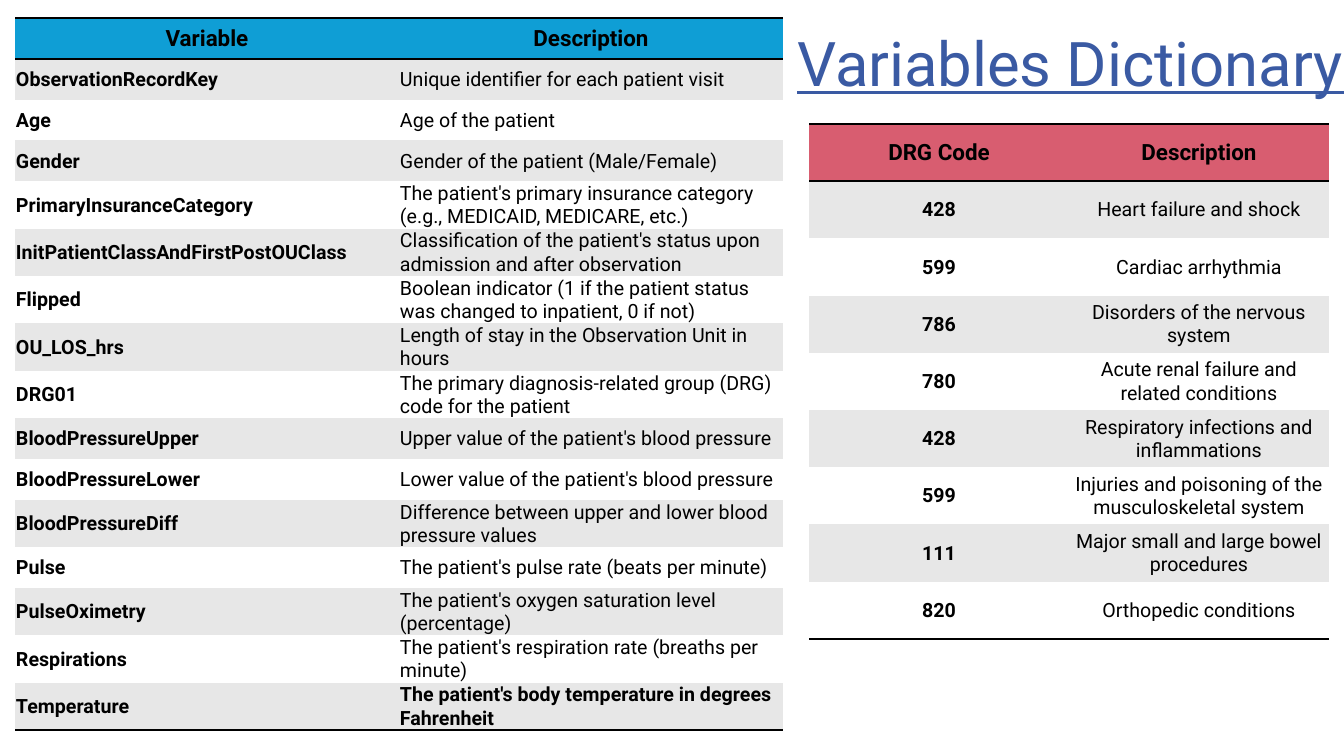
"""Build the Variables Dictionary slide with its variable and DRG code tables."""
import pptx
import pptx.dml.color
import pptx.enum.text
import pptx.oxml
import pptx.oxml.ns
import pptx.util

EMU_PER_INCH, PX_PER_INCH = 914400, 100.8
COLOURS = {
    "blue": "0F9ED5",
    "rose": "D85D70",
    "band": "E7E7E7",
    "white": "FFFFFF",
    "black": "000000",
    "title": "3A5AA3",
}
PLAIN_TABLE_STYLE = "{2D5ABB26-0587-4C30-8999-92F81FD0307C}"
MIDDLE = pptx.enum.text.MSO_ANCHOR.MIDDLE
CENTER = pptx.enum.text.PP_ALIGN.CENTER
LEFT = pptx.enum.text.PP_ALIGN.LEFT


def px(length):
    return pptx.util.Emu(round(length * EMU_PER_INCH / PX_PER_INCH))


def assign(target, values):
    for name, value in values.items():
        setattr(target, name, value)


VARIABLES = [
    ("Variable", "Description"),
    ("ObservationRecordKey", "Unique identifier for each patient visit"),
    ("Age", "Age of the patient"),
    ("Gender", "Gender of the patient (Male/Female)"),
    ("PrimaryInsuranceCategory",
     "The patient's primary insurance category (e.g., MEDICAID, MEDICARE, etc.)"),
    ("InitPatientClassAndFirstPostOUClass",
     "Classification of the patient's status upon admission and after observation"),
    ("Flipped",
     "Boolean indicator (1 if the patient status was changed to inpatient, 0 if not)"),
    ("OU_LOS_hrs", "Length of stay in the Observation Unit in hours"),
    ("DRG01", "The primary diagnosis-related group (DRG) code for the patient"),
    ("BloodPressureUpper", "Upper value of the patient's blood pressure"),
    ("BloodPressureLower", "Lower value of the patient's blood pressure"),
    ("BloodPressureDiff", "Difference between upper and lower blood pressure values"),
    ("Pulse", "The patient's pulse rate (beats per minute)"),
    ("PulseOximetry", "The patient's oxygen saturation level (percentage)"),
    ("Respirations", "The patient's respiration rate (breaths per minute)"),
    ("Temperature", "The patient's body temperature in degrees Fahrenheit"),
]
DRG_CODES = [
    ("DRG Code", "Description"),
    ("428", "Heart failure and shock"),
    ("599", "Cardiac arrhythmia"),
    ("786", "Disorders of the nervous system"),
    ("780", "Acute renal failure and related conditions"),
    ("428", "Respiratory infections and inflammations"),
    ("599", "Injuries and poisoning of the musculoskeletal system"),
    ("111", "Major small and large bowel procedures"),
    ("820", "Orthopedic conditions"),
]
TABLES = [
    {"rows": VARIABLES, "place": (15, 18, 768, 653), "header": "blue",
     "align": LEFT, "rule": 2, "bold_last_row": True},
    {"rows": DRG_CODES, "place": (809, 124, 520, 515), "header": "rose",
     "align": CENTER, "rule": 1.5, "bold_last_row": False},
]

deck = pptx.Presentation()
assign(deck, {"slide_width": px(1344), "slide_height": px(756)})
page = deck.slides.add_slide(deck.slide_layouts[5])

title = page.shapes.title
assign(title, {"left": px(751), "top": px(0), "width": px(639), "height": px(124)})
assign(title.text_frame, {
    "text": "Variables Dictionary", "word_wrap": True, "vertical_anchor": MIDDLE,
    "auto_size": pptx.enum.text.MSO_AUTO_SIZE.NONE,
    "margin_left": 0, "margin_right": 0, "margin_top": 0, "margin_bottom": 0,
})
para = title.text_frame.paragraphs[0]
para.alignment = CENTER
span = para.runs[0]
assign(span.font, {"name": "Roboto", "size": pptx.util.Pt(44), "underline": True})
span.font.color.rgb = pptx.dml.color.RGBColor.from_string(COLOURS["title"])

for design in TABLES:
    rows = design["rows"]
    last = len(rows) - 1
    frame = page.shapes.add_table(len(rows), 2, *map(px, design["place"]))
    table = frame.table
    assign(table, {"first_row": False, "horz_banding": False})
    style_id = table._tbl.tblPr.find(pptx.oxml.ns.qn("a:tableStyleId"))
    style_id.text = PLAIN_TABLE_STYLE

    for row_index, row in enumerate(rows):
        is_header = row_index == 0
        fill = design["header"] if is_header else ("white", "band")[row_index % 2]
        edges = ("lnT", "lnB") if is_header else ("lnB",) if row_index == last else ()
        for column_index, words in enumerate(row):
            cell = table.cell(row_index, column_index)
            assign(cell, {
                "text": words, "vertical_anchor": MIDDLE, "margin_left": px(1),
                "margin_right": px(1), "margin_top": px(1), "margin_bottom": 0,
            })
            for edge in edges:
                cell._tc.get_or_add_tcPr().append(pptx.oxml.parse_xml(
                    f'<a:{edge} {pptx.oxml.ns.nsdecls("a")} '
                    f'w="{pptx.util.Pt(design["rule"])}"><a:solidFill>'
                    f'<a:srgbClr val="{COLOURS["black"]}"/></a:solidFill></a:{edge}>'))
            cell.fill.solid()
            cell.fill.fore_color.rgb = pptx.dml.color.RGBColor.from_string(COLOURS[fill])
            para = cell.text_frame.paragraphs[0]
            para.alignment = CENTER if is_header else design["align"]
            span = para.runs[0]
            assign(span.font, {
                "name": "Roboto",
                "size": pptx.util.Pt(16 if is_header else 14),
                "bold": is_header or column_index == 0
                or (design["bold_last_row"] and row_index == last),
            })
            span.font.color.rgb = pptx.dml.color.RGBColor.from_string(COLOURS["black"])

deck.save("out.pptx")
